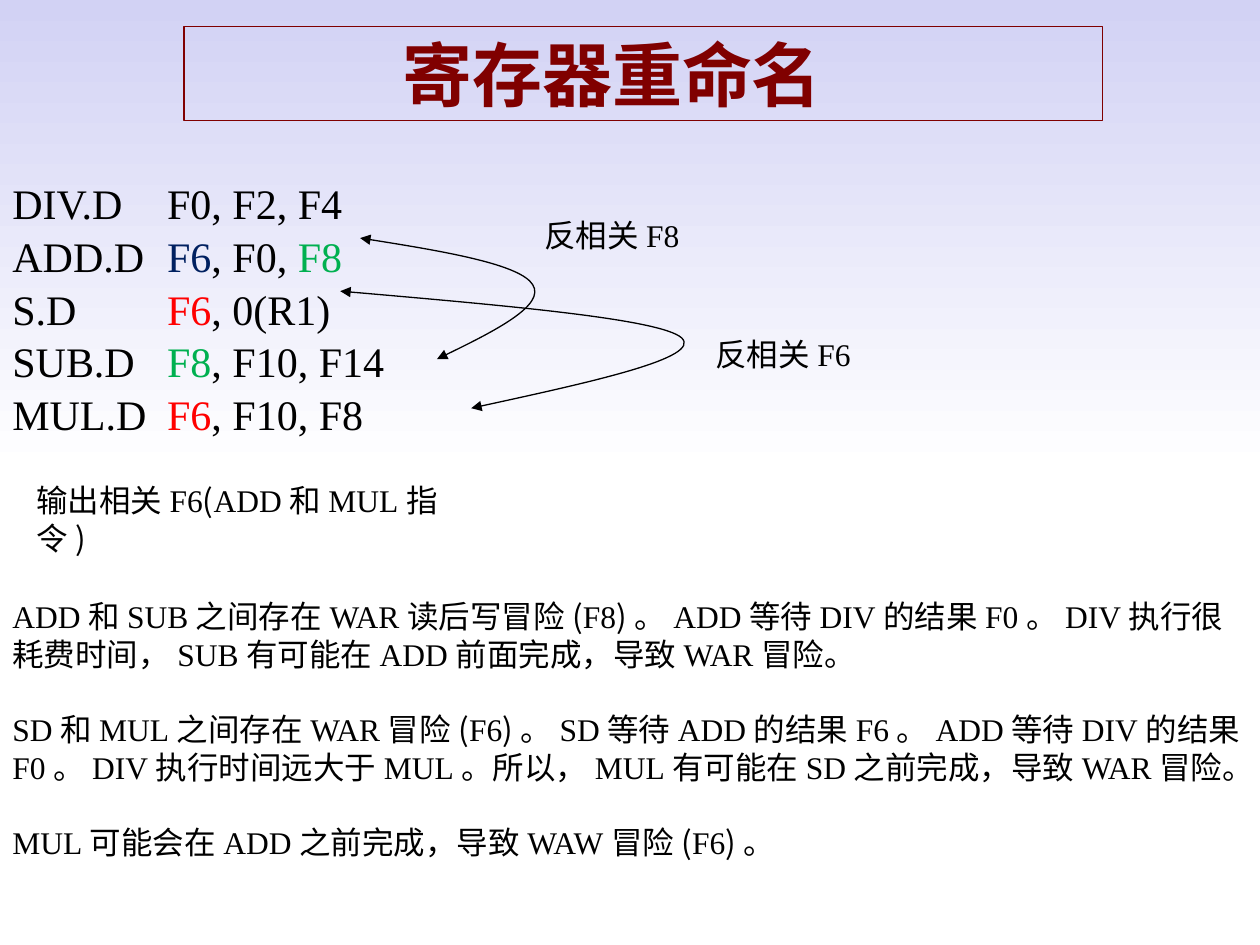
from itertools import groupby

from lxml.etree import SubElement
from pptx import Presentation
from pptx.dml.color import RGBColor
from pptx.enum.text import MSO_ANCHOR, MSO_AUTO_SIZE, PP_ALIGN
from pptx.oxml.ns import qn
from pptx.util import Cm, Pt

LATIN_FONT = "Times New Roman"
CHINESE_FONT = "Noto Sans CJK SC"
LAVENDER = RGBColor(0xD2, 0xD2, 0xF4)
WHITE = RGBColor(0xFF, 0xFF, 0xFF)
BLACK = RGBColor(0x00, 0x00, 0x00)
MAROON = RGBColor(0x80, 0x00, 0x00)
NAVY = RGBColor(0x00, 0x20, 0x60)
GREEN = RGBColor(0x00, 0xB0, 0x50)
RED = RGBColor(0xFF, 0x00, 0x00)

INSTRUCTIONS = [
    [("DIV.D\tF0, F2, F4", BLACK)],
    [("ADD.D\t", BLACK), ("F6", NAVY), (", F0, ", BLACK), ("F8", GREEN)],
    [("S.D\t", BLACK), ("F6", RED), (", 0(R1)", BLACK)],
    [("SUB.D\t", BLACK), ("F8", GREEN), (", F10, F14", BLACK)],
    [("MUL.D\t", BLACK), ("F6", RED), (", F10, F8", BLACK)],
]
LABELS = [
    ("反相关F8", (10.72, 4.24, 4.55, 1.02)),
    ("反相关F6", (14.17, 6.63, 3.4, 1.02)),
    ("输出相关F6(ADD和MUL指令)", (0.48, 9.58, 8.76, 1.02)),
]
HAZARDS = [
    "ADD和SUB之间存在WAR读后写冒险(F8)。ADD等待DIV的结果F0。"
    "DIV执行很耗费时间，SUB有可能在ADD前面完成，导致WAR冒险。",
    "SD和MUL之间存在WAR冒险(F6)。SD等待ADD的结果F6。ADD等待DIV的结果F0。"
    "DIV执行时间远大于MUL。所以，MUL有可能在SD之前完成，导致WAR冒险。",
    "MUL可能会在ADD之前完成，导致WAW冒险(F6)。",
]
DEPENDENCE_CURVES = [
    ((7.26, 4.8), [(1.6, 0.25), (3.23, 0.53), (3.48, 0.94),
                   (3.74, 1.35), (2.65, 1.91), (1.55, 2.44)]),
    ((6.86, 5.87), [(3.22, 0.28), (6.45, 0.56), (6.88, 0.94),
                    (7.31, 1.34), (4.98, 1.85), (2.64, 2.36)]),
]


def add_run(paragraph, text, size, color=BLACK, latin=LATIN_FONT, bold=False):
    """Add one run with its Latin and East Asian fonts."""
    run = paragraph.add_run()
    run.text = text
    font = run.font
    font.size, font.name, font.bold = Pt(size), latin, bold
    font.color.rgb = color
    SubElement(run._r.get_or_add_rPr(), qn("a:ea"), typeface=CHINESE_FONT)


def add_text_frame(slide, box):
    """Add a wrapping text box and return its frame."""
    frame = slide.shapes.add_textbox(*map(Cm, box)).text_frame
    frame.word_wrap = True
    return frame


def next_paragraph(frame, index):
    """Return the first paragraph of a frame, or a new one."""
    return frame.add_paragraph() if index else frame.paragraphs[0]


def set_background(slide):
    """Fade the background from lavender to white at half height."""
    fill = slide.background.fill
    fill.gradient()
    fill.gradient_angle = 270
    for stop, color, position in zip(fill.gradient_stops, (LAVENDER, WHITE), (0, 0.5)):
        stop.color.rgb = color
        stop.position = position


def place_title(slide, text, box):
    """Place the outlined title."""
    title = slide.shapes.title
    title.left, title.top, title.width, title.height = map(Cm, box)
    title.line.color.rgb = MAROON
    title.line.width = Pt(0.75)
    frame = title.text_frame
    frame.auto_size = MSO_AUTO_SIZE.NONE
    frame.vertical_anchor = MSO_ANCHOR.MIDDLE
    frame.margin_left = Cm(4.4)
    paragraph = frame.paragraphs[0]
    paragraph.alignment = PP_ALIGN.LEFT
    add_run(paragraph, text, 40, MAROON, "Arial", True)


def place_instructions(slide, box):
    """List the instructions with operands aligned at a tab stop."""
    frame = add_text_frame(slide, box)
    for index, parts in enumerate(INSTRUCTIONS):
        paragraph = next_paragraph(frame, index)
        tabs = SubElement(paragraph._p.get_or_add_pPr(), qn("a:tabLst"))
        SubElement(tabs, qn("a:tab"), pos=str(Cm(3.12)), algn="l")
        paragraph.line_spacing = 1.05
        for text, color in parts:
            add_run(paragraph, text, 24, color)


def place_notes(slide, texts, box):
    """Write spaced paragraphs with parentheses in the Chinese font."""
    frame = add_text_frame(slide, box)
    for index, text in enumerate(texts):
        paragraph = next_paragraph(frame, index)
        if index:
            paragraph.space_before = Pt(21.5)
        for is_bracket, letters in groupby(text, lambda letter: letter in "()"):
            font = CHINESE_FONT if is_bracket else LATIN_FONT
            add_run(paragraph, "".join(letters), 18, latin=font)


def place_curve(slide, origin, offsets):
    """Draw a double-headed Bezier curve from offsets to its origin."""
    left, top = origin
    builder = slide.shapes.build_freeform(Cm(left), Cm(top))
    builder.add_line_segments([(Cm(left + x), Cm(top + y)) for x, y in offsets], close=False)
    curve = builder.convert_to_shape()
    curve.shadow.inherit = False
    curve.fill.background()
    curve.line.color.rgb = BLACK
    curve.line.width = Pt(0.75)
    outline = curve._element.spPr.find(qn("a:ln"))
    for end in ("a:headEnd", "a:tailEnd"):
        SubElement(outline, qn(end), type="triangle")
    route = next(curve._element.iter(qn("a:path")))
    segments = route.findall(qn("a:lnTo"))
    for start in range(0, len(segments), 3):
        bezier = SubElement(route, qn("a:cubicBezTo"))
        for segment in segments[start:start + 3]:
            bezier.append(segment[0])
            route.remove(segment)


def main():
    """Build the register renaming slide."""
    presentation = Presentation()
    presentation.slide_width, presentation.slide_height = Cm(25.4), Cm(19.05)
    slide = presentation.slides.add_slide(presentation.slide_layouts[5])
    set_background(slide)
    place_title(slide, "寄存器重命名", (3.71, 0.53, 18.52, 1.9))
    place_instructions(slide, (0, 3.4, 25.4, 6.15))
    for origin, offsets in DEPENDENCE_CURVES:
        place_curve(slide, origin, offsets)
    for text, box in LABELS:
        place_notes(slide, [text], box)
    place_notes(slide, HAZARDS, (0, 11.91, 25.4, 6.4))
    presentation.save("out.pptx")


if __name__ == "__main__":
    main()
